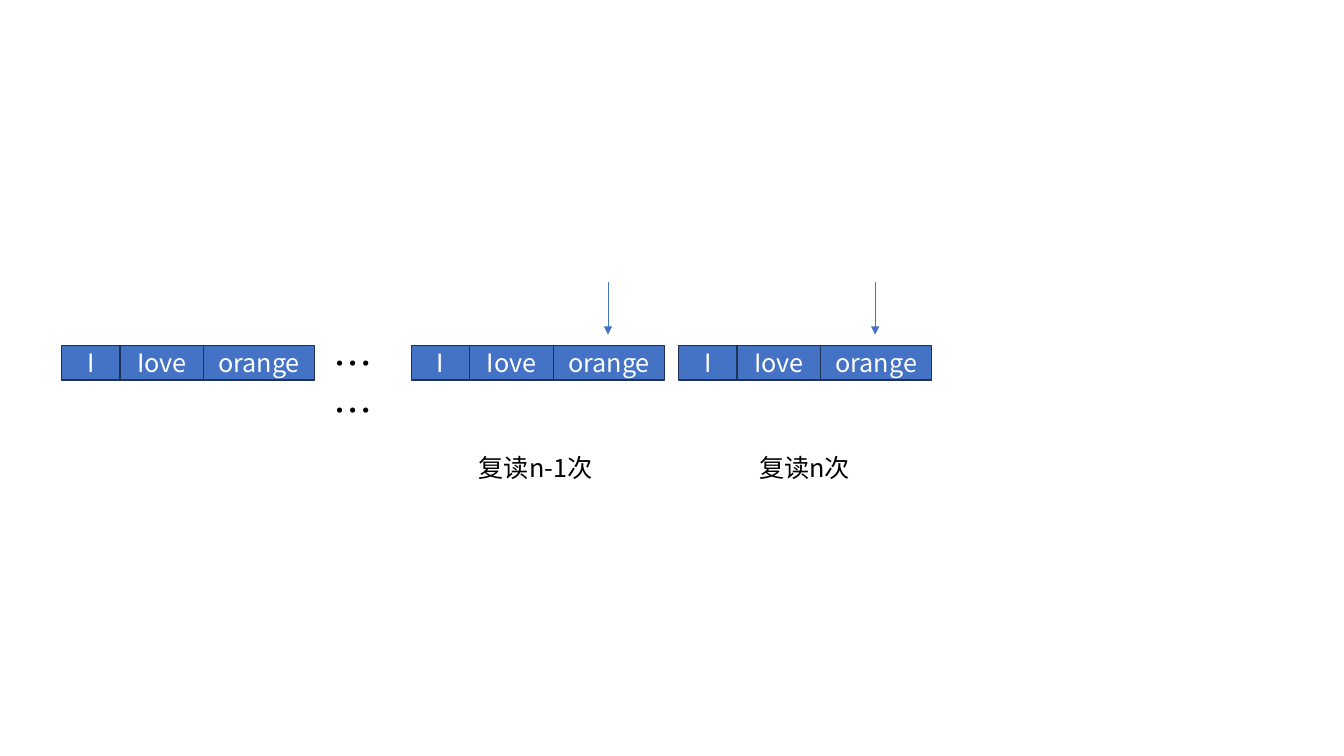
from lxml import etree
from pptx import Presentation, util as u
from pptx.dml.color import RGBColor
from pptx.enum import shapes, text
from pptx.oxml.ns import qn

EMU_PER_PX = 9144  # 100 px to the inch


def px(length):
    return u.Emu(length * EMU_PER_PX)


def rgb(hex_code):
    return RGBColor.from_string(hex_code)


class Diagram:
    FONT = "Noto Sans CJK SC"
    BLUE, NAVY, WHITE, BLACK = "4472C4", "1E3256", "FFFFFF", "000000"

    def __init__(self, slide):
        self.shapes = slide.shapes.add_group_shape().shapes

    def set_words(self, frame, words, size, color, align):
        frame.word_wrap = True
        paragraph = frame.paragraphs[0]
        paragraph.alignment = align
        run = paragraph.add_run()
        run.text = words
        style = {"name": self.FONT, "size": u.Pt(size)}
        for key, value in style.items():
            setattr(run.font, key, value)
        run.font.color.rgb = rgb(color)
        east_asian = etree.SubElement(run.font._element, qn("a:ea"))
        east_asian.set("typeface", self.FONT)

    def word_cell(self, word, left, top, width, height):
        cell = self.shapes.add_shape(
            shapes.MSO_SHAPE.RECTANGLE, *map(px, (left, top, width, height)))
        cell.shadow.inherit = False
        cell.fill.solid()
        cell.fill.fore_color.rgb = rgb(self.BLUE)
        cell.line.color.rgb = rgb(self.NAVY)
        cell.line.width = u.Pt(1)
        cell.text_frame.vertical_anchor = text.MSO_ANCHOR.MIDDLE
        self.set_words(cell.text_frame, word, 18, self.WHITE, text.PP_ALIGN.CENTER)

    def sentence(self, left, top=343, height=34):
        """Lay the words of one repetition side by side."""
        for word, width in (("I", 58), ("Iove", 83), ("orange", 110)):
            self.word_cell(word, left, top, width, height)
            left += width

    def label(self, words, left, top, width, height, size=18):
        box = self.shapes.add_textbox(*map(px, (left, top, width, height)))
        self.set_words(box.text_frame, words, size, self.BLACK, text.PP_ALIGN.LEFT)

    def down_arrow(self, x, top=280, bottom=332):
        arrow = self.shapes.add_connector(
            shapes.MSO_CONNECTOR.STRAIGHT, *map(px, (x, top, x, bottom)))
        arrow.line.color.rgb = rgb(self.BLUE)
        arrow.line.width = u.Pt(0.5)
        properties = arrow._element.spPr
        tail = etree.SubElement(properties.find(qn("a:ln")), qn("a:tailEnd"))
        tail.set("type", "triangle")
        etree.SubElement(properties, qn("a:effectLst"))


def main():
    deck = Presentation()
    deck.slide_width, deck.slide_height = u.Inches(13.33), u.Inches(7.5)
    diagram = Diagram(deck.slides.add_slide(deck.slide_layouts[6]))

    first, next_to_last, last = 61, 408, 673
    for left in (next_to_last, last, first):
        diagram.sentence(left)
    diagram.label("……", 321, 332, 75, 57, size=28)
    diagram.label("复读n-1次", 465, 444, 136, 40)
    diagram.label("复读n次", 743, 444, 110, 40)
    for left in (next_to_last, last):
        diagram.down_arrow(left + 195)

    deck.save("out.pptx")


if __name__ == "__main__":
    main()
